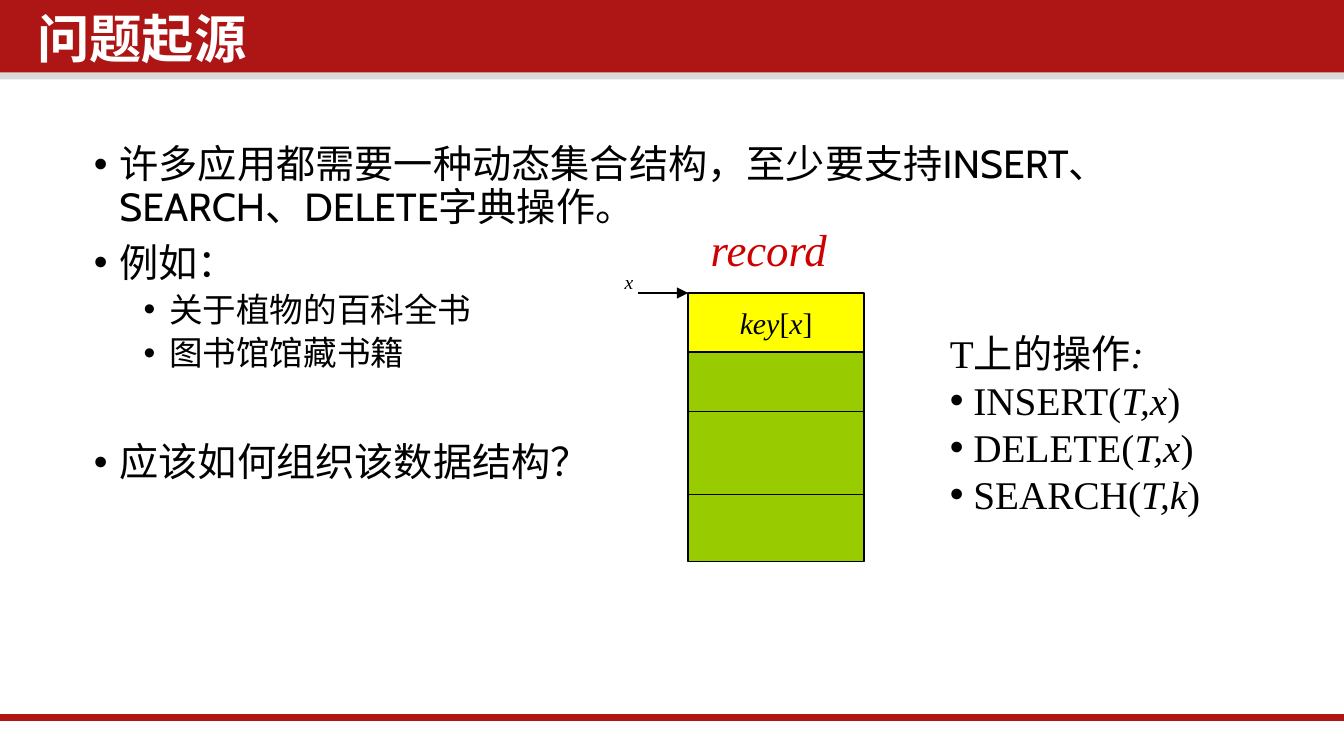
"""Build the slide on where the dictionary problem comes from."""
from dataclasses import dataclass

from lxml.etree import SubElement
from pptx import Presentation
from pptx.dml.color import RGBColor
from pptx.enum.shapes import MSO_CONNECTOR as Conn, MSO_SHAPE as Kind
from pptx.enum.text import MSO_ANCHOR as Anchor, MSO_AUTO_SIZE as Fit, PP_ALIGN as Align
from pptx.oxml.ns import qn
from pptx.util import Inches, Pt

RED, BLACK = "AE1616", "000000"
SANS, SERIF = "Noto Sans CJK SC", "Times New Roman"
LEFT, TOP, WIDE = 5.12, 2.18, 1.31
KEY, REST = 0.44, 1.56


@dataclass
class Para:
    """A paragraph; asterisks enclose its italic parts."""
    text: str
    size: float
    font: str = SERIF
    color: str = BLACK
    bold: bool = False
    bullet: bool = False
    level: int = 0
    margin: float = 0
    hang: float = 0
    before: float = 0
    line: float = 1
    align: Align = Align.LEFT


@dataclass
class Box:
    """A text box with its place and paragraphs."""
    left: float
    top: float
    width: float
    height: float
    paras: list[Para]
    wrap: bool = True
    inset: tuple[float, float] = (0.1, 0.05)


def paint(form, color: str) -> None:
    """Give a fill, a line or a font a solid colour."""
    if hasattr(form, "solid"):
        form.solid()
        form.fore_color.rgb = RGBColor.from_string(color)
    else:
        form.color.rgb = RGBColor.from_string(color)


def write(frame, paras: list[Para]) -> None:
    """Fill a text frame with paragraphs."""
    for i, item in enumerate(paras):
        para = frame.add_paragraph() if i else frame.paragraphs[0]
        props = para._p.get_or_add_pPr()
        props.set("marL", str(Inches(item.margin)))
        props.set("indent", str(Inches(-item.hang)))
        if item.bullet:
            SubElement(props, qn("a:buFont")).set("typeface", "Arial")
            SubElement(props, qn("a:buChar")).set("char", "•")
        para.level, para.alignment = item.level, item.align
        para.line_spacing = item.line
        para.space_before = Pt(item.before)
        font = para.font
        font.size, font.name, font.bold = Pt(item.size), item.font, item.bold
        paint(font.fill, item.color)
        SubElement(font._rPr, qn("a:ea")).set("typeface", SANS)
        for j, part in enumerate(item.text.split("*")):
            if part:
                run = para.add_run()
                run.text = part
                run.font.italic = j % 2 == 1


def rect(shapes, left: float, top: float, width: float, height: float, color: str, edge: bool = False):
    """Draw a filled rectangle, with a black edge if asked."""
    shape = shapes.add_shape(Kind.RECTANGLE, Inches(left), Inches(top), Inches(width), Inches(height))
    shape.shadow.inherit = False
    paint(shape.fill, color)
    if edge:
        paint(shape.line, BLACK)
        shape.line.width = Pt(0.75)
    else:
        shape.line.fill.background()
    return shape


def rule(shapes, left: float, right: float, top: float, color: str = BLACK, width: float = 0.75, arrow: bool = False) -> None:
    """Draw a level line, with an arrowhead on the right if asked."""
    line = shapes.add_connector(Conn.STRAIGHT, Inches(left), Inches(top), Inches(right), Inches(top))
    paint(line.line, color)
    line.line.width = Pt(width)
    if arrow:
        SubElement(line.line._get_or_add_ln(), qn("a:tailEnd")).set("type", "triangle")
    SubElement(line._element.spPr, qn("a:effectLst"))


def label(shapes, box: Box) -> None:
    """Add a text box."""
    shape = shapes.add_textbox(Inches(box.left), Inches(box.top), Inches(box.width), Inches(box.height))
    frame = shape.text_frame
    frame.word_wrap = box.wrap
    frame.auto_size = Fit.NONE if box.wrap else Fit.SHAPE_TO_FIT_TEXT
    frame.margin_left = frame.margin_right = Inches(box.inset[0])
    frame.margin_top = frame.margin_bottom = Inches(box.inset[1])
    write(frame, box.paras)


def point(text: str, before: float = 7.5) -> Para:
    """Make a main bullet."""
    return Para(text, 21, "Cabin", bullet=True, margin=0.19, hang=0.19, before=before, line=0.9)


def sub(text: str) -> Para:
    """Make a second-level bullet."""
    return Para(text, 18, "Cabin", bullet=True, level=1, margin=0.56, hang=0.19, before=3.8, line=0.9)


def main() -> None:
    """Draw the slide and save it."""
    deck = Presentation()
    deck.slide_width = Inches(10)
    deck.slide_height = Inches(10 * 9 / 16)
    shapes = deck.slides.add_slide(deck.slide_layouts[6]).shapes

    rect(shapes, 0, 0.5, 10, 0.09, "D9D9D9")
    rect(shapes, 0, 0, 10, 0.54, RED)
    rule(shapes, -0.02, 10, 5.34, RED, 4)

    title = Para("问题起源", 28, SANS, "FFFFFF", bold=True, line=0.9)
    points = [
        point("许多应用都需要一种动态集合结构，至少要支持INSERT、SEARCH、DELETE字典操作。", 0),
        point("例如："),
        sub("关于植物的百科全书"),
        sub("图书馆馆藏书籍"),
        point("应该如何组织该数据结构？", 37.5),
    ]
    calls = [("INSERT", "T,x"), ("DELETE", "T,x"), ("SEARCH", "T,k")]
    tasks = [Para("T上的操作*:*", 21)]
    tasks += [Para(f" {name}(*{args}*)", 21, bullet=True) for name, args in calls]

    head = rect(shapes, LEFT, TOP, WIDE, KEY, "FFFF00", True)
    head.text_frame.word_wrap = False
    head.text_frame.vertical_anchor = Anchor.MIDDLE
    write(head.text_frame, [Para("*key*[*x*]", 16, align=Align.CENTER)])
    rect(shapes, LEFT, TOP + KEY, WIDE, REST, "99CC00", True)
    for top in (3.06, 3.68):
        rule(shapes, LEFT, LEFT + WIDE, top)
    rule(shapes, 4.75, LEFT, TOP, arrow=True)

    for box in (
        Box(0.21, 0.06, 7.64, 0.59, [title], inset=(0.07, 0.04)),
        Box(0.6, 1.03, 8.62, 3.57, points),
        Box(5.19, 1.6, 1.07, 0.5, [Para("*record*", 24, color="CE0000")], wrap=False),
        Box(4.55, 1.96, 0.27, 0.28, [Para("*x*", 10.5)], wrap=False),
        Box(6.97, 2.4, 2.14, 1.51, tasks),
    ):
        label(shapes, box)
    deck.save("out.pptx")


if __name__ == "__main__":
    main()
